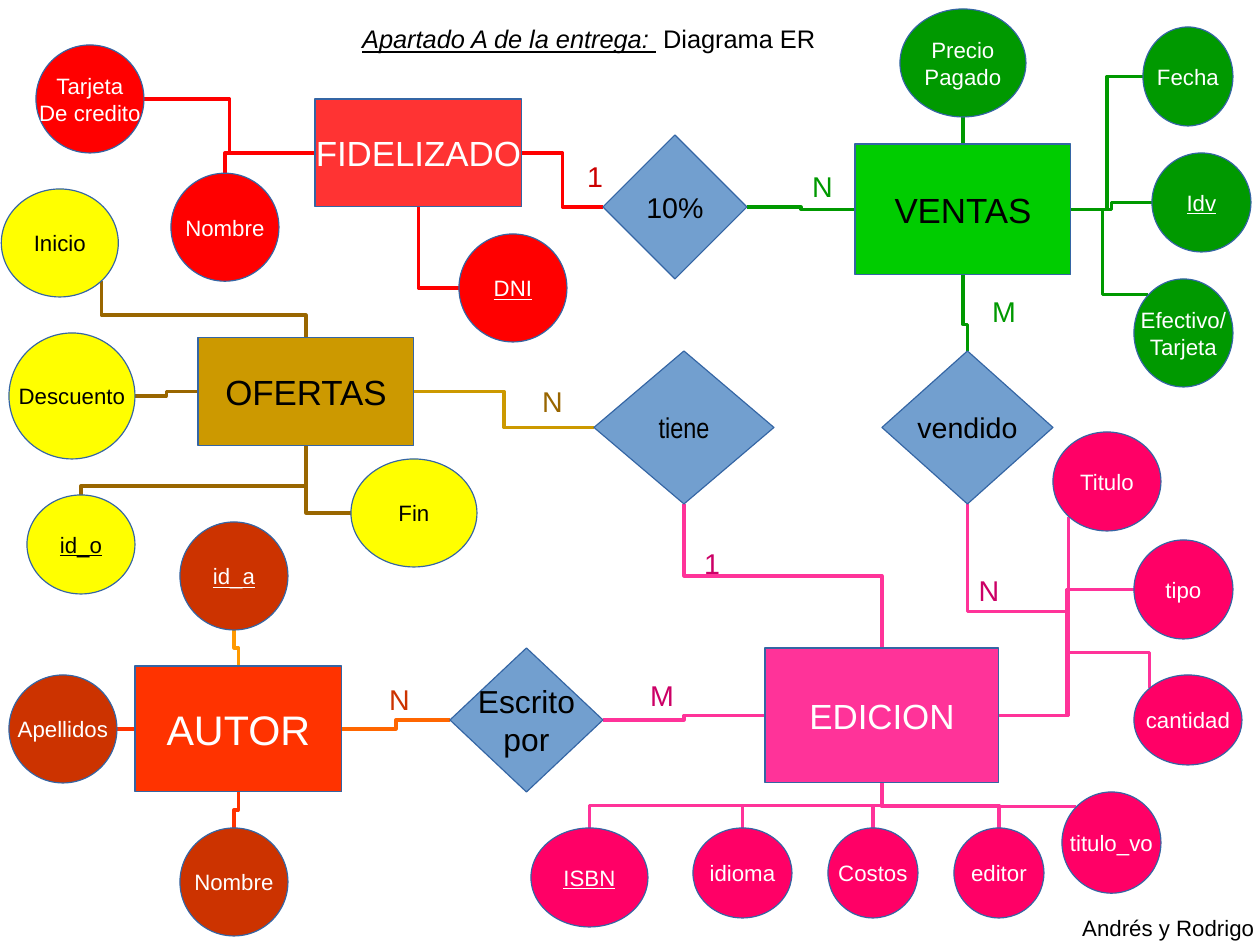
from dataclasses import dataclass

from lxml import etree
from pptx import Presentation
from pptx import util as u
from pptx.dml.color import RGBColor
from pptx.enum import shapes, text
from pptx.oxml.ns import qn

BLACK = RGBColor(0x00, 0x00, 0x00)
WHITE = RGBColor(0xFF, 0xFF, 0xFF)
EDGE = RGBColor(0x34, 0x65, 0xA4)
BLUE = RGBColor(0x72, 0x9F, 0xCF)
RED = RGBColor(0xFF, 0x00, 0x00)
CORAL = RGBColor(0xFF, 0x33, 0x33)
CRIMSON = RGBColor(0xCC, 0x00, 0x00)
LIME = RGBColor(0x00, 0xCC, 0x00)
GREEN = RGBColor(0x00, 0x99, 0x00)
GOLD = RGBColor(0xCC, 0x99, 0x00)
YELLOW = RGBColor(0xFF, 0xFF, 0x00)
BROWN = RGBColor(0x99, 0x66, 0x00)
FLAME = RGBColor(0xFF, 0x33, 0x00)
ORANGE = RGBColor(0xFF, 0x66, 0x00)
AMBER = RGBColor(0xFF, 0x99, 0x00)
RUST = RGBColor(0xCC, 0x33, 0x00)
PINK = RGBColor(0xFF, 0x33, 0x99)
ROSE = RGBColor(0xFF, 0x00, 0x66)
PLUM = RGBColor(0xCC, 0x00, 0x66)

RECT = shapes.MSO_SHAPE.RECTANGLE
RHOMB = shapes.MSO_SHAPE.DIAMOND
OVAL = shapes.MSO_SHAPE.OVAL

# Anchor points as shares of a node's width and height
SIDES = {"T": (0.5, 0), "B": (0.5, 1), "L": (0, 0.5), "R": (1, 0.5),
         "TL": (0.146, 0.146), "BL": (0.146, 0.854), "BR": (0.854, 0.854)}


@dataclass
class Node:
    key: str
    words: str
    form: shapes.MSO_SHAPE
    x: float
    y: float
    w: float
    h: float
    fill: RGBColor
    ink: RGBColor = WHITE
    size: int = 14
    under: bool = False
    face: str = "Arial"

    def point(self, side: str) -> tuple[float, float]:
        across, down = SIDES[side]
        return self.x + across * self.w, self.y + down * self.h


@dataclass
class Wire:
    start: str
    leave: str
    end: str
    enter: str
    color: RGBColor
    bends: tuple[float, ...] = (0.5,)  # no value: a single corner


@dataclass
class Label:
    words: str
    x: float
    y: float
    w: float
    color: RGBColor = BLACK
    size: int = 18


NODES = [
    Node("fidel", "FIDELIZADO", RECT, 7, 2.2, 4.6, 2.4, CORAL, size=22),
    Node("ventas", "VENTAS", RECT, 19, 3.2, 4.8, 2.9, LIME, BLACK, 22),
    Node("ofertas", "OFERTAS", RECT, 4.4, 7.5, 4.8, 2.4, GOLD, BLACK, 22),
    Node("autor", "AUTOR", RECT, 3, 14.8, 4.6, 2.8, FLAME, size=26),
    Node("edicion", "EDICION", RECT, 17, 14.4, 5.2, 3, PINK, size=22),
    Node("diez", "10%", RHOMB, 13.4, 3, 3.2, 3.2, BLUE, BLACK, 18),
    Node("tiene", "tiene", RHOMB, 13.2, 7.8, 4, 3.4, BLUE, BLACK, 18, face="Arial Narrow"),
    Node("vendido", "vendido", RHOMB, 19.6, 7.8, 3.8, 3.4, BLUE, BLACK, 18),
    Node("escrito", "Escrito\npor", RHOMB, 10, 14.4, 3.4, 3.2, BLUE, BLACK, 20),
    Node("credito", "Tarjeta\nDe credito", OVAL, 0.8, 1, 2.4, 2.4, RED),
    Node("nombre_f", "Nombre", OVAL, 3.8, 3.85, 2.4, 2.4, RED),
    Node("dni", "DNI", OVAL, 10.2, 5.2, 2.4, 2.4, RED, under=True),
    Node("inicio", "Inicio", OVAL, 0.03, 4.2, 2.6, 2.4, YELLOW, BLACK),
    Node("descuento", "Descuento", OVAL, 0.2, 7.4, 2.8, 2.8, YELLOW, BLACK),
    Node("id_o", "id_o", OVAL, 0.6, 11, 2.4, 2.2, YELLOW, BLACK, under=True),
    Node("fin", "Fin", OVAL, 7.8, 10.2, 2.8, 2.4, YELLOW, BLACK),
    Node("id_a", "id_a", OVAL, 4, 11.6, 2.4, 2.4, RUST, under=True),
    Node("apellidos", "Apellidos", OVAL, 0.2, 15, 2.4, 2.4, RUST),
    Node("nombre_a", "Nombre", OVAL, 4, 18.4, 2.4, 2.4, RUST),
    Node("precio", "Precio\nPagado", OVAL, 20, 0.2, 2.8, 2.4, GREEN),
    Node("fecha", "Fecha", OVAL, 25.4, 0.6, 2, 2.2, GREEN),
    Node("idv", "Idv", OVAL, 25.6, 3.4, 2.2, 2.2, GREEN, under=True),
    Node("efectivo", "Efectivo/\nTarjeta", OVAL, 25.2, 6.2, 2.2, 2.4, GREEN),
    Node("titulo", "Titulo", OVAL, 23.4, 9.6, 2.4, 2.2, ROSE),
    Node("tipo", "tipo", OVAL, 25.2, 12, 2.2, 2.2, ROSE),
    Node("cantidad", "cantidad", OVAL, 25.2, 15, 2.4, 2, ROSE),
    Node("titulo_vo", "titulo_vo", OVAL, 23.6, 17.6, 2.2, 2.25, ROSE),
    Node("isbn", "ISBN", OVAL, 11.8, 18.4, 2.6, 2.2, ROSE, under=True),
    Node("idioma", "idioma", OVAL, 15.4, 18.4, 2.2, 2, ROSE),
    Node("costos", "Costos", OVAL, 18.4, 18.4, 2, 2, ROSE),
    Node("editor", "editor", OVAL, 21.2, 18.4, 2, 2, ROSE),
]

WIRES = [
    Wire("autor", "R", "escrito", "L", ORANGE),
    Wire("escrito", "R", "edicion", "L", PINK),
    Wire("diez", "R", "ventas", "L", GREEN),
    Wire("fidel", "R", "diez", "L", RED),
    Wire("ofertas", "R", "tiene", "L", GOLD),
    Wire("tiene", "B", "edicion", "T", PINK),
    Wire("vendido", "T", "ventas", "B", GREEN, (0.35,)),
    Wire("vendido", "B", "edicion", "R", PINK, (0.51, 3.21)),
    Wire("credito", "R", "fidel", "L", RED),
    Wire("nombre_f", "T", "fidel", "L", RED, ()),
    Wire("dni", "L", "fidel", "B", RED, ()),
    Wire("ofertas", "T", "inicio", "BR", BROWN, (0.4,)),
    Wire("descuento", "R", "ofertas", "L", BROWN),
    Wire("id_o", "T", "ofertas", "B", BROWN, (0.18,)),
    Wire("ofertas", "B", "fin", "L", BROWN, ()),
    Wire("id_a", "B", "autor", "T", AMBER),
    Wire("apellidos", "R", "autor", "L", FLAME),
    Wire("nombre_a", "T", "autor", "B", FLAME),
    Wire("precio", "B", "ventas", "T", GREEN),
    Wire("ventas", "R", "fecha", "L", GREEN),
    Wire("ventas", "R", "idv", "L", GREEN),
    Wire("ventas", "R", "efectivo", "TL", GREEN, (0.41,)),
    Wire("titulo", "BL", "edicion", "R", PINK, ()),
    Wire("tipo", "L", "edicion", "R", PINK),
    Wire("cantidad", "TL", "edicion", "R", PINK, (-1.31, 0.55)),
    Wire("edicion", "B", "titulo_vo", "TL", PINK, ()),
    *(Wire(key, "T", "edicion", "B", PINK) for key in ("isbn", "idioma", "costos", "editor")),
]

LABELS = [
    Label("1", 12.8, 3.4, 0.8, CRIMSON),
    Label("N", 17.8, 3.63, 0.8, GREEN),
    Label("M", 21.8, 6.4, 1, GREEN),
    Label("N", 21.5, 12.6, 1.15, PLUM),
    Label("1", 15.4, 12, 1.2, PLUM),
    Label("N", 11.8, 8.4, 1, BROWN),
    Label("N", 8.4, 15.03, 1.4, RUST),
    Label("M", 14.2, 14.93, 1, PLUM),
    Label("Andrés y Rodrigo", 23.8, 20.2, 4.4, size=14),
]


def add_run(para, words: str, size: int, color: RGBColor, face: str = "Arial",
            under: bool = False, slant: bool = False) -> None:
    run = para.add_run()
    run.text = words
    font = run.font
    font.name, font.size, font.color.rgb = face, u.Pt(size), color
    font.underline, font.italic = under, slant


def draw_node(slide, node: Node) -> None:
    shape = slide.shapes.add_shape(node.form, *map(u.Cm, (node.x, node.y, node.w, node.h)))
    shape.shadow.inherit = False
    shape.fill.solid()
    shape.fill.fore_color.rgb = node.fill
    shape.line.color.rgb = EDGE
    shape.line.width = u.Pt(0)
    frame = shape.text_frame
    frame.word_wrap = False
    frame.vertical_anchor = text.MSO_ANCHOR.MIDDLE
    for i, words in enumerate(node.words.split("\n")):
        para = frame.add_paragraph() if i else frame.paragraphs[0]
        para.alignment = text.PP_ALIGN.CENTER
        add_run(para, words, node.size, node.ink, node.face, node.under)


def draw_wire(slide, wire: Wire, nodes: dict[str, Node]) -> None:
    """Draw an elbow; one that leaves up or down is a sideways elbow turned by 90 degrees."""
    x1, y1 = nodes[wire.start].point(wire.leave)
    x2, y2 = nodes[wire.end].point(wire.enter)
    dx, dy = x2 - x1, y2 - y1
    bent = min(abs(dx), abs(dy)) > 0.01
    turned = bent and wire.leave not in ("L", "R")
    if turned:
        mx, my = (x1 + x2) / 2, (y1 + y2) / 2
        x1, y1, x2, y2 = mx - dy / 2, my + dx / 2, mx + dy / 2, my - dx / 2
    kind = shapes.MSO_CONNECTOR.ELBOW if bent else shapes.MSO_CONNECTOR.STRAIGHT
    line = slide.shapes.add_connector(kind, *map(u.Cm, (x1, y1, x2, y2)))
    line.line.color.rgb = wire.color
    line.line.width = u.Pt(0)
    props = line._element.spPr
    etree.SubElement(props, qn("a:effectLst"))
    if turned:
        props.find(qn("a:xfrm")).set("rot", "5400000")
    if bent:
        geom = props.find(qn("a:prstGeom"))
        geom.set("prst", f"bentConnector{len(wire.bends) + 2}")
        for i, bend in enumerate(wire.bends, 1):
            etree.SubElement(geom.find(qn("a:avLst")), qn("a:gd"),
                             name=f"adj{i}", fmla=f"val {round(bend * 100000)}")


def add_box(slide, x: float, y: float, w: float):
    """Add a one-line text box and return its paragraph."""
    frame = slide.shapes.add_textbox(*map(u.Cm, (x, y, w, 0.95))).text_frame
    frame.word_wrap = True
    return frame.paragraphs[0]


def main() -> None:
    deck = Presentation()
    deck.slide_width, deck.slide_height = u.Cm(28), u.Cm(21)
    slide = deck.slides.add_slide(deck.slide_layouts[6])
    nodes = {node.key: node for node in NODES}
    for wire in WIRES:
        draw_wire(slide, wire, nodes)
    for node in NODES:
        draw_node(slide, node)
    for label in LABELS:
        add_run(add_box(slide, label.x, label.y, label.w), label.words, label.size, label.color)
    title = add_box(slide, 7.8, 0.4, 10.8)
    add_run(title, "Apartado A de la entrega: ", 16, BLACK, under=True, slant=True)
    add_run(title, " Diagrama ER", 16, BLACK)
    deck.save("out.pptx")


if __name__ == "__main__":
    main()
